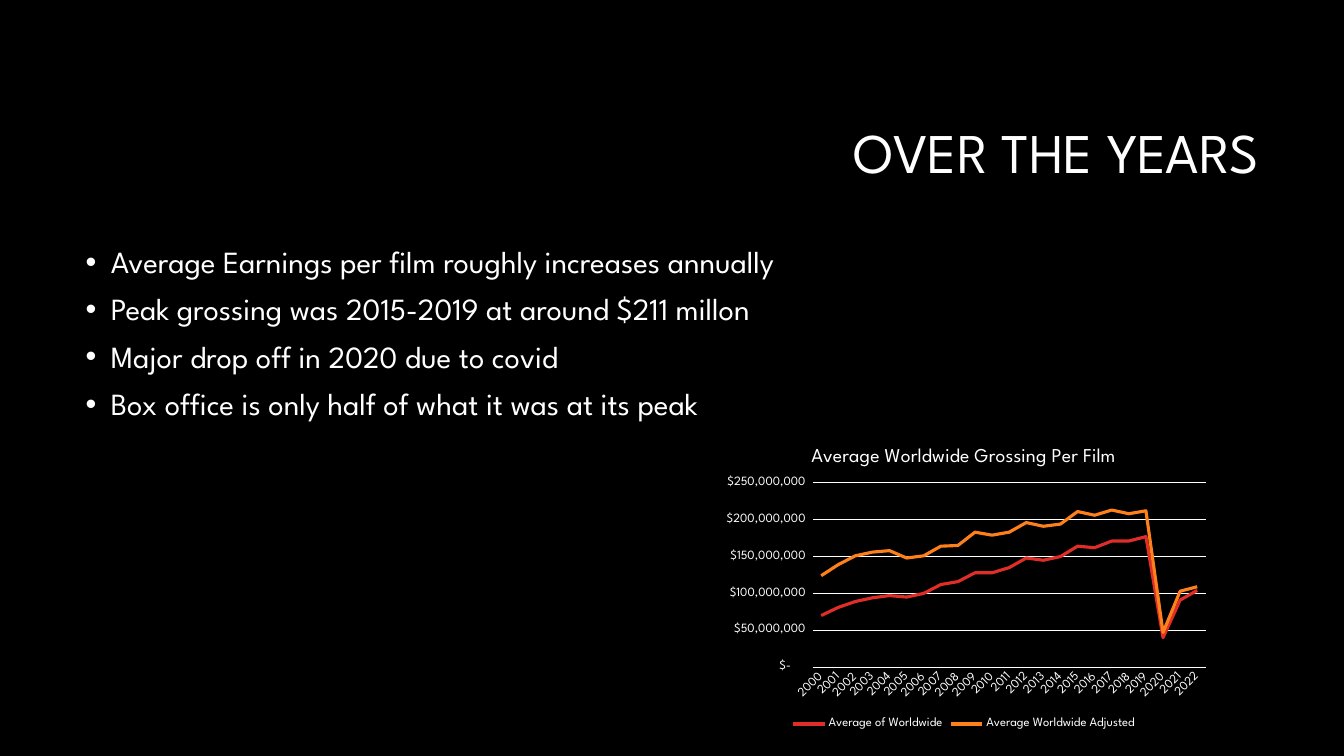
import lxml.etree
import pptx
import pptx.chart.data
import pptx.dml.color
import pptx.enum.chart
import pptx.enum.text
import pptx.oxml
import pptx.util

Inches = pptx.util.Inches
FONT = "League Spartan"
WHITE, BLACK, RED, ORANGE = "FFFFFF", "000000", "DF2E28", "FE801A"
BULLETS = [
    "Average Earnings per film roughly increases annually",
    "Peak grossing was 2015-2019 at around $211 millon",
    "Major drop off in 2020 due to covid",
    "Box office is only half of what it was at its peak",
]
GROSS_MILLIONS = {
    "Average of Worldwide": (RED, [
        70, 81, 89, 94, 97, 95, 100, 112, 116, 128, 128, 135,
        148, 145, 150, 164, 162, 171, 171, 177, 40, 91, 104]),
    "Average Worldwide Adjusted": (ORANGE, [
        124, 139, 151, 156, 158, 148, 151, 164, 165, 183, 179, 183,
        196, 191, 194, 211, 206, 213, 208, 212, 47, 103, 109]),
}
DOLLARS = r'_("$"* #,##0_);_("$"* \(#,##0\);_("$"* "-"??_);_(@_)'
PLOT_LAYOUT = {"layoutTarget": "inner", "xMode": "edge", "yMode": "edge",
               "x": 0.2, "y": 0.17, "w": 0.78, "h": 0.61}


def colour(hex_code):
    """Turn a hex string into a colour."""
    return pptx.dml.color.RGBColor.from_string(hex_code)


def apply(target, formats):
    """Set each attribute named in the format values."""
    for name, value in formats.items():
        setattr(target, name, value)


def style_font(font, size):
    """Give a font the slide's typeface, weight and colour."""
    apply(font, {"name": FONT, "size": pptx.util.Pt(size), "bold": False})
    font.color.rgb = colour(WHITE)


def style_line(line, hex_code, width):
    """Colour a line and set its width in points."""
    line.color.rgb = colour(hex_code)
    line.width = pptx.util.Pt(width)


def place(part, box):
    """Move a placeholder into its box."""
    apply(part, dict(zip(("left", "top", "width", "height"), map(Inches, box))))


def add_heading(slide, box):
    """Fill the title placeholder, right aligned."""
    heading = slide.shapes.title
    place(heading, box)
    heading.text_frame.text = "OVER THE YEARS"
    apply(heading.text_frame, {
        "vertical_anchor": pptx.enum.text.MSO_ANCHOR.MIDDLE,
        "auto_size": pptx.enum.text.MSO_AUTO_SIZE.NONE})
    line = heading.text_frame.paragraphs[0]
    apply(line, {"alignment": pptx.enum.text.PP_ALIGN.RIGHT, "line_spacing": 0.9})
    style_font(line.runs[0].font, 40)


def add_findings(slide, box):
    """Fill the body placeholder with the bulleted findings."""
    findings = slide.placeholders[1]
    place(findings, box)
    findings.text_frame.text = "\n".join(BULLETS)
    findings.text_frame.auto_size = pptx.enum.text.MSO_AUTO_SIZE.NONE
    for finding in findings.text_frame.paragraphs:
        apply(finding, {"line_spacing": 0.9, "space_before": pptx.util.Pt(10)})
        style_font(finding.runs[0].font, 22)
        properties = finding._p.get_or_add_pPr()
        properties.set("marL", str(Inches(0.25)))
        properties.set("indent", str(Inches(-0.25)))
        bullet = lxml.etree.SubElement(properties, pptx.oxml.ns.qn("a:buChar"))
        bullet.set("char", "•")


def set_plot_layout(chart):
    """Fix the inner plot area as fractions of the chart."""
    qn = pptx.oxml.ns.qn
    plot_area = chart._chartSpace.chart.plotArea
    for automatic in plot_area.findall(qn("c:layout")):
        plot_area.remove(automatic)
    layout = lxml.etree.Element(qn("c:layout"))
    plot_area.insert(0, layout)
    manual = lxml.etree.SubElement(layout, qn("c:manualLayout"))
    for name, value in PLOT_LAYOUT.items():
        lxml.etree.SubElement(manual, qn(f"c:{name}")).set("val", str(value))


def style_axes(chart):
    """Format the year and dollar axes."""
    years, dollars = chart.category_axis, chart.value_axis
    for axis in (years, dollars):
        apply(axis, {"major_tick_mark": pptx.enum.chart.XL_TICK_MARK.NONE,
                     "minor_tick_mark": pptx.enum.chart.XL_TICK_MARK.NONE})
        style_font(axis.tick_labels.font, 9)
    style_line(years.format.line, WHITE, 0.75)
    label_body = years._element.find(".//" + pptx.oxml.ns.qn("a:bodyPr"))
    label_body.set("rot", "-2700000")
    label_body.set("vert", "horz")
    apply(dollars, {"minimum_scale": 0, "maximum_scale": 250_000_000,
                    "major_unit": 50_000_000, "has_major_gridlines": True})
    dollars.format.line.fill.background()
    style_line(dollars.major_gridlines.format.line, WHITE, 0.75)
    apply(dollars.tick_labels, {"number_format": DOLLARS,
                                "number_format_is_linked": False})


def add_grossing_chart(slide, box):
    """Draw the average gross per film as a line chart."""
    grossing = pptx.chart.data.CategoryChartData()
    grossing.categories = [str(year) for year in range(2000, 2023)]
    for name, (_, millions) in GROSS_MILLIONS.items():
        grossing.add_series(name, [value * 1_000_000 for value in millions])
    chart = slide.shapes.add_chart(
        pptx.enum.chart.XL_CHART_TYPE.LINE, *map(Inches, box), grossing).chart
    style_font(chart.font, 10)
    apply(chart, {"has_title": True, "has_legend": True})
    caption = chart.chart_title.text_frame
    caption.text = "Average Worldwide Grossing Per Film"
    style_font(caption.paragraphs[0].runs[0].font, 14)
    apply(chart.legend, {"position": pptx.enum.chart.XL_LEGEND_POSITION.BOTTOM,
                         "include_in_layout": False})
    style_font(chart.legend.font, 9)
    chart.plots[0].vary_by_categories = False
    for series, (hex_code, _) in zip(chart.plots[0].series, GROSS_MILLIONS.values()):
        series.smooth = False
        series.marker.style = pptx.enum.chart.XL_MARKER_STYLE.NONE
        style_line(series.format.line, hex_code, 2.25)
    style_axes(chart)
    set_plot_layout(chart)


def main():
    """Build the slide and save it."""
    deck = pptx.Presentation()
    apply(deck, {"slide_width": Inches(13.33), "slide_height": Inches(7.5)})
    slide = deck.slides.add_slide(deck.slide_layouts[1])
    slide.background.fill.solid()
    slide.background.fill.fore_color.rgb = colour(BLACK)
    add_heading(slide, (3.17, 0.84, 9.42, 1.41))
    add_findings(slide, (0.75, 2.4, 11.83, 4.4))
    add_grossing_chart(slide, (7.06, 4.28, 5, 3))
    deck.save("out.pptx")


if __name__ == "__main__":
    main()
